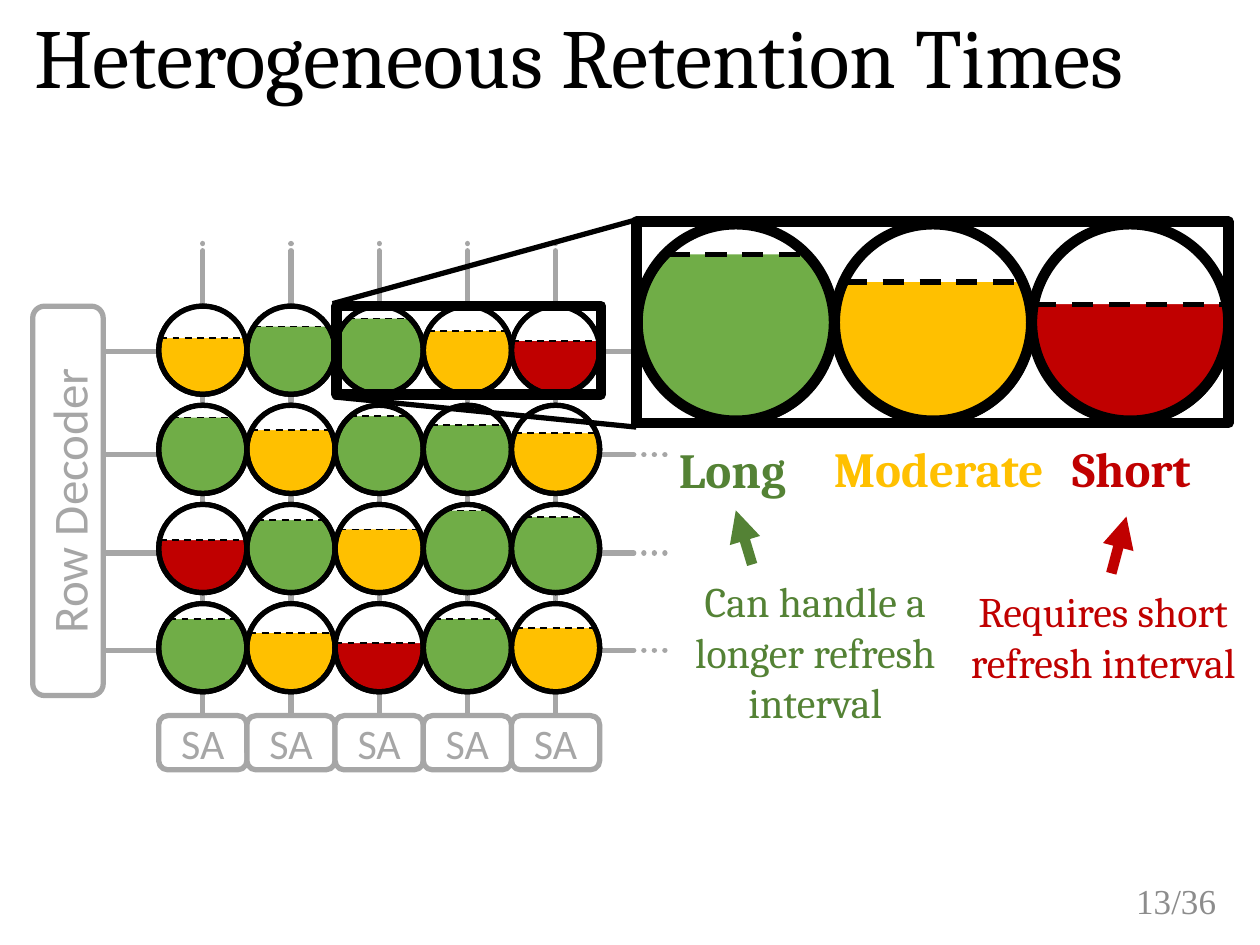
from math import cos, radians, sin

from pptx import Presentation
from pptx.dml.color import RGBColor
from pptx.enum.dml import MSO_LINE
from pptx.enum.shapes import MSO_CONNECTOR, MSO_SHAPE
from pptx.enum.text import MSO_ANCHOR, MSO_AUTO_SIZE, PP_ALIGN
from pptx.oxml.ns import qn
from pptx.util import Inches, Pt
from lxml.etree import SubElement

BLACK = RGBColor(0x00, 0x00, 0x00)
WHITE = RGBColor(0xFF, 0xFF, 0xFF)
GRAY = RGBColor(0xA6, 0xA6, 0xA6)
NUMBER_GRAY = RGBColor(0x8C, 0x8C, 0x8C)
GREEN = RGBColor(0x70, 0xAD, 0x47)
DARK_GREEN = RGBColor(0x54, 0x82, 0x35)
YELLOW = RGBColor(0xFF, 0xC0, 0x00)
RED = RGBColor(0xC0, 0x00, 0x00)

# Cell array grid
LEFT, TOP = 1.26, 2.43
CELL = 0.7
ROW_PITCH = 0.787
WORDLINES = (2.79, 3.61, 4.39, 5.16)
SENSE_TOP = 5.68
ZOOM_CELL = 1.56
ZOOM_PITCH = 1.565

# Each cell: charge colour and half angle of the empty cap, in degrees
CELLS = (
    ((YELLOW, 74.2), (GREEN, 57.6), (GREEN, 44.1), (YELLOW, 64.0), (RED, 77.7)),
    ((GREEN, 43.8), (YELLOW, 64.1), (GREEN, 41.2), (GREEN, 56.1), (YELLOW, 68.3)),
    ((RED, 78.9), (GREEN, 50.0), (YELLOW, 64.2), (GREEN, 30.6), (GREEN, 44.5)),
    ((GREEN, 49.4), (YELLOW, 70.4), (RED, 84.0), (GREEN, 49.1), (YELLOW, 63.5)),
)


def add_text(text_frame, text, font, size, color, align=PP_ALIGN.LEFT,
             bold=False, anchor=MSO_ANCHOR.TOP):
    text_frame.word_wrap = True
    text_frame.auto_size = MSO_AUTO_SIZE.NONE
    text_frame.vertical_anchor = anchor
    paragraph = text_frame.paragraphs[0]
    paragraph.alignment = align
    run = paragraph.add_run()
    run.text = text
    run.font.name = font
    run.font.size = Pt(size)
    run.font.bold = bold
    run.font.color.rgb = color
    return paragraph


def add_label(slide, box, text, size, color, font="Cambria", **options):
    shape = slide.shapes.add_textbox(*map(Inches, box))
    add_text(shape.text_frame, text, font, size, color, **options)


def add_outline(slide, kind, box, fill=None, line=None, width=3):
    shape = slide.shapes.add_shape(kind, *map(Inches, box))
    shape.shadow.inherit = False
    if fill is None:
        shape.fill.background()
    else:
        shape.fill.solid()
        shape.fill.fore_color.rgb = fill
    if line is None:
        shape.line.fill.background()
    else:
        shape.line.color.rgb = line
        shape.line.width = Pt(width)
    return shape


def add_line(slide, start, end, color, width=3, dash=None, arrow=False):
    connector = slide.shapes.add_connector(
        MSO_CONNECTOR.STRAIGHT, *map(Inches, (*start, *end)))
    connector.line.color.rgb = color
    connector.line.width = Pt(width)
    if dash:
        connector.line.dash_style = dash
    properties = connector._element.spPr
    if arrow:
        SubElement(properties.find(qn("a:ln")), qn("a:tailEnd"), type="triangle")
    SubElement(properties, qn("a:effectLst"))
    return connector


def add_wire(slide, start, end, dash=None):
    connector = add_line(slide, start, end, GRAY, dash=dash)
    connector._element.spPr.find(qn("a:ln")).set("cap", "rnd")


def add_block(slide, box, text, size):
    shape = add_outline(slide, MSO_SHAPE.ROUNDED_RECTANGLE, box, WHITE, GRAY)
    add_text(shape.text_frame, text, "Calibri", size, GRAY,
             PP_ALIGN.CENTER, anchor=MSO_ANCHOR.MIDDLE)
    return shape


def add_cell(slide, left, top, size, color, half_angle,
             ring_width=3, dash_width=1, ring_shift=(0, 0)):
    """A filled circle with a white cap, a ring and a dashed charge level."""
    box = (left, top, size, size)
    add_outline(slide, MSO_SHAPE.OVAL, box, color, BLACK)
    cap = add_outline(slide, MSO_SHAPE.CHORD, box, WHITE)
    for index, angle in enumerate((270 - half_angle, 270 + half_angle)):
        cap.adjustments[index] = angle * 0.6  # 60000ths of a degree / 100000
    radius = size / 2
    center = left + radius
    reach = radius * sin(radians(half_angle))
    level = top + radius * (1 - cos(radians(half_angle)))
    add_outline(slide, MSO_SHAPE.OVAL,
                (left + ring_shift[0], top + ring_shift[1], size, size),
                line=BLACK, width=ring_width)
    add_line(slide, (center - reach, level), (center + reach, level),
             BLACK, dash_width, MSO_LINE.DASH)


def add_array(slide):
    # Wordlines and bitlines, each continued by dots
    for y in WORDLINES:
        add_wire(slide, (0.7, y), (5.03, y))
        add_wire(slide, (5.11, y), (5.3, y), MSO_LINE.ROUND_DOT)
    columns = [LEFT + CELL * column for column in range(len(CELLS[0]))]
    for left in columns:
        x = left + CELL / 2
        add_wire(slide, (x, SENSE_TOP), (x, 1.99))
        add_wire(slide, (x, 2.1), (x, 1.91), MSO_LINE.ROUND_DOT)
    # Sense amplifiers and row decoder
    for left in columns:
        add_block(slide, (left, SENSE_TOP, CELL, 0.43), "SA", 24)
    decoder = add_block(slide, (0.26, TOP, 0.56, 3.09), "Row Decoder", 28)
    decoder.text_frame._txBody.bodyPr.set("vert", "vert270")
    # Cells
    for row, cells in enumerate(CELLS):
        for left, (color, half_angle) in zip(columns, cells):
            add_cell(slide, left, TOP + ROW_PITCH * row, CELL, color, half_angle)


def add_zoom(slide):
    # The last three cells of the first row, enlarged
    for index, (color, half_angle) in enumerate(CELLS[0][2:]):
        add_cell(slide, 5.07 + ZOOM_PITCH * index, 1.8, ZOOM_CELL, color,
                 half_angle, ring_width=6, dash_width=3, ring_shift=(-0.01, -0.02))
    # Frames and the lines joining them
    for box in ((2.67, TOP, 3 * CELL, CELL), (5.05, 1.76, 4.7, 1.6)):
        add_outline(slide, MSO_SHAPE.RECTANGLE, box, line=BLACK, width=6)
    add_line(slide, (2.64, 2.41), (5.03, 1.75), BLACK)
    add_line(slide, (2.65, 3.15), (5.05, 3.39), BLACK)


def add_notes_on_retention(slide):
    add_label(slide, (5.29, 3.44, 1.13, 0.57), "Long", 28, DARK_GREEN, bold=True)
    add_label(slide, (6.52, 3.43, 1.95, 0.57), "Moderate", 28, YELLOW, bold=True)
    add_label(slide, (8.41, 3.43, 1.42, 0.57), "Short", 28, RED, bold=True)
    add_label(slide, (7.51, 4.6, 2.49, 0.97), "Requires short refresh interval",
              24, RED, align=PP_ALIGN.CENTER)
    add_line(slide, (8.82, 4.55), (8.94, 4.1), RED, 6, arrow=True)
    add_label(slide, (5.36, 4.52, 2.22, 1), "Can handle a longer refresh interval",
              24, DARK_GREEN, align=PP_ALIGN.CENTER)
    add_line(slide, (5.97, 4.48), (5.84, 4.05), DARK_GREEN, 6, arrow=True)


def add_title(slide, text):
    title = slide.shapes.title
    title.left, title.top, title.width, title.height = map(
        Inches, (0.17, 0.07, 9.67, 0.83))
    paragraph = add_text(title.text_frame, text, "Cambria", 48, BLACK,
                         anchor=MSO_ANCHOR.BOTTOM)
    paragraph.line_spacing = 0.9


def main():
    presentation = Presentation()
    presentation.slide_width, presentation.slide_height = Inches(10), Inches(7.5)
    slide = presentation.slides.add_slide(presentation.slide_layouts[5])
    add_title(slide, "Heterogeneous Retention Times")
    add_array(slide)
    add_zoom(slide)
    add_notes_on_retention(slide)
    # Page number
    add_label(slide, (8.67, 6.95, 1.08, 0.4), "13/36", 20, NUMBER_GRAY,
              font="Times New Roman", align=PP_ALIGN.RIGHT,
              anchor=MSO_ANCHOR.MIDDLE)
    presentation.save("out.pptx")


if __name__ == "__main__":
    main()
